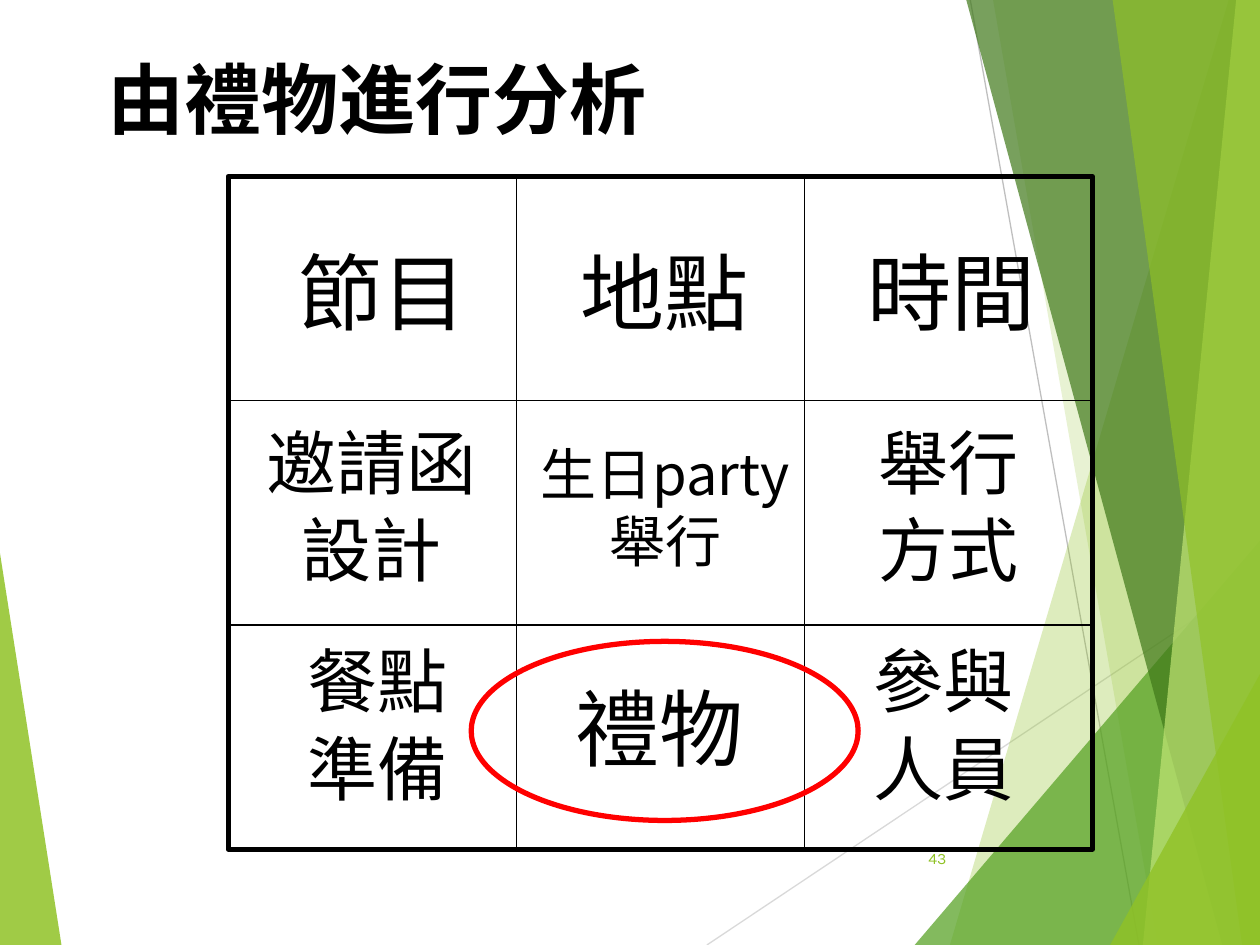
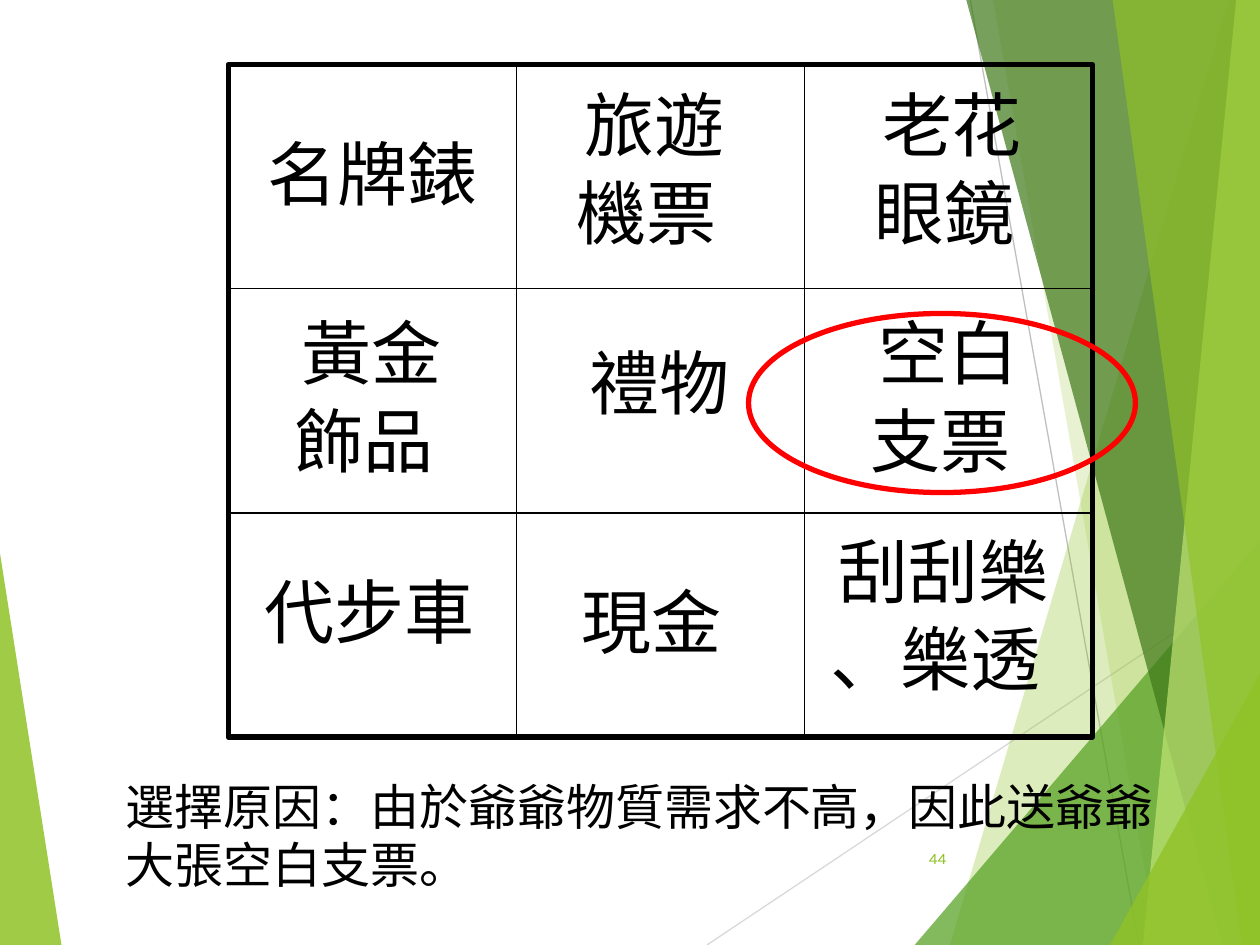
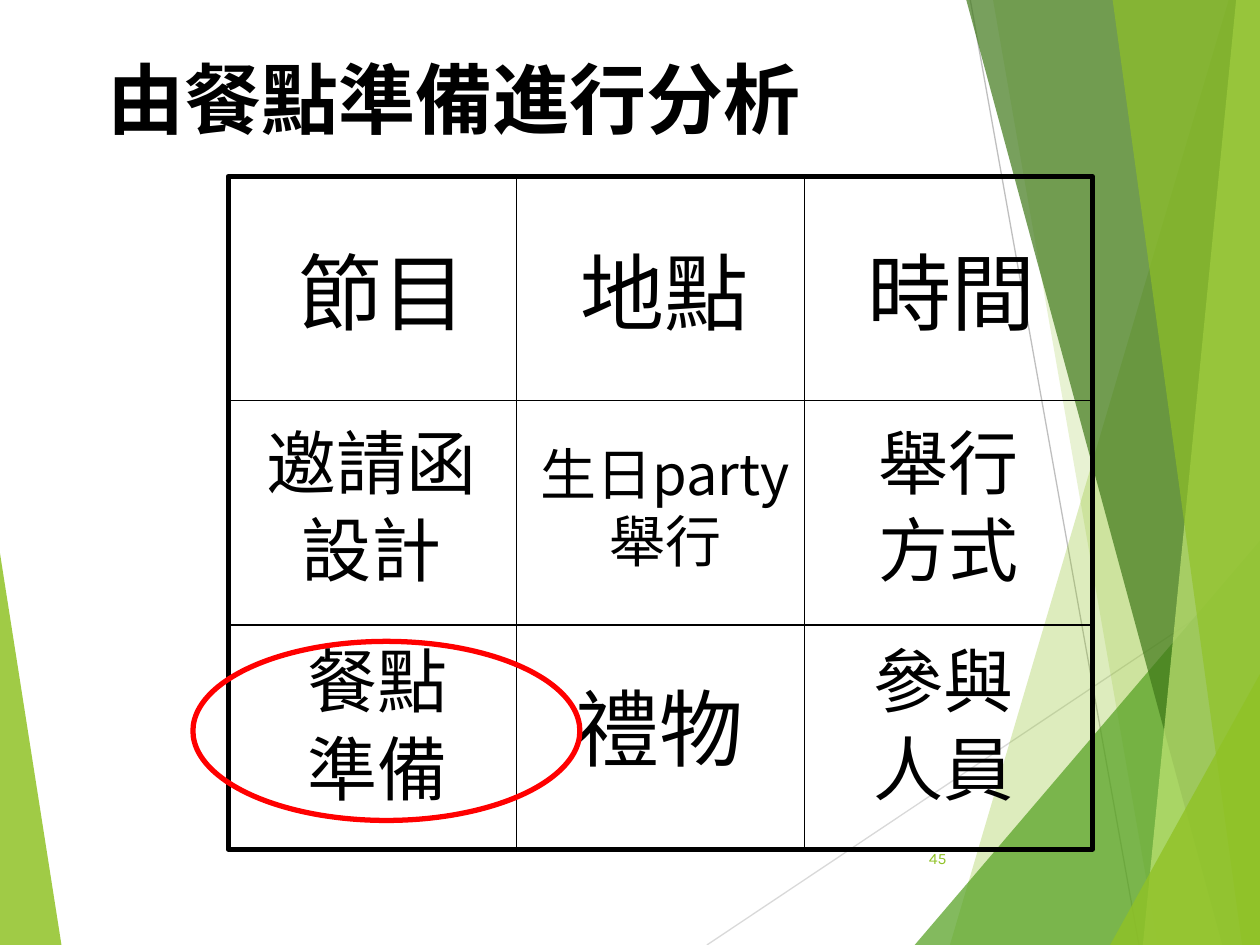
from lxml import etree
from pptx import Presentation
from pptx.dml.color import RGBColor
from pptx.enum import shapes, text
from pptx.oxml import ns
from pptx.util import Cm, Pt

BLACK = RGBColor(0x00, 0x00, 0x00)
RED = RGBColor(0xFF, 0x00, 0x00)
LIME = RGBColor(0x90, 0xC2, 0x26)
PALE_LIME = RGBColor(0xC0, 0xE4, 0x74)
GREEN = RGBColor(0x54, 0xA0, 0x21)
DARK_GREEN = RGBColor(0x3F, 0x78, 0x19)
GREY = RGBColor(0xBF, 0xBF, 0xBF)
LIGHT_GREY = RGBColor(0xD9, 0xD9, 0xD9)

CJK = "Noto Sans CJK SC"
W, H = 25.4, 19.05
BOARD_LEFT, BOARD_W, BOARD_H = 4.6, 17.42, 13.56
FIRST_PAGE = 43

# Facets, back to front: outline in cm, colour, opacity in percent
LEFT_FACET = ([(0, 11.15), (1.24, H), (0, H)], LIME, 85)
RIGHT_FACETS = [
    ([(24.77, 0), (19.15, H), (W, H), (W, 0)], LIME, 30),
    ([(20.02, 0), (23.34, H), (W, H), (W, 0)], LIME, 20),
    ([(18.44, H), (W, 10.9), (W, H)], GREEN, 72),
    ([(19.48, 0), (24.64, H), (W, H), (W, 0)], DARK_GREEN, 70),
    ([(24.92, 0), (23.04, H), (W, H), (W, 0)], PALE_LIME, 70),
    ([(22.43, 0), (25.04, H), (W, H), (W, 0)], LIME, 65),
    ([(22.38, H), (W, 13.59), (W, H)], LIME, 80),
]

# Cells: lines, left, top, width, height, size
PARTY_CELLS = [
    (["節目"], 5.31, 4.72, 4.8, 2.29, 48),
    (["地點"], 10.9, 4.72, 5, 2.29, 48),
    (["時間"], 16.69, 4.72, 5, 2.29, 48),
    (["邀請函", "設計"], 4.7, 8.33, 5.59, 3.73, 40),
    (["生日party舉行"], 10.31, 8.74, 6.2, 2.97, 32),
    (["舉行", "方式"], 16.31, 8.33, 5.61, 3.73, 40),
    (["餐點", "準備"], 4.9, 12.73, 5.41, 3.73, 40),
    (["禮物"], 10.69, 13.51, 5.21, 2.29, 48),
    (["參與", "人員"], 16.31, 12.73, 5.41, 3.73, 40),
]
GIFT_CELLS = [
    (["名牌錶 "], 5.11, 2.51, 4.8, 1.96, 40),
    (["旅遊", "機票 "], 10.69, 1.52, 5, 3.73, 40),
    (["老花", "眼鏡 "], 16.69, 1.52, 5, 3.73, 40),
    (["黃金", "飾品 "], 4.7, 6.12, 5.59, 3.73, 40),
    (["禮物"], 10.69, 6.73, 5.21, 1.96, 40),
    (["空白", "支票 "], 16.31, 6.12, 5.61, 3.73, 40),
    (["代步車 "], 4.9, 11.33, 5.41, 1.96, 40),
    (["現金 "], 10.49, 11.53, 5.59, 1.96, 40),
    (["刮刮樂", "、樂透 "], 16.31, 10.52, 5.41, 3.73, 40),
]
REASON = "選擇原因：由於爺爺物質需求不高，因此送爺爺大張空白支票。"

# Slides: title, title width, board top, cells, left and top of the red ring
PAGES = [
    ("由禮物進行分析", 14, 3.56, PARTY_CELLS, 9.5, 12.93),
    (None, 0, 1.3, GIFT_CELLS, 15.09, 6.32),
    ("由餐點準備進行分析", 15.6, 3.56, PARTY_CELLS, 3.89, 12.93),
]


def add_line(s, x1, y1, x2, y2, color):
    line = s.shapes.add_connector(shapes.MSO_CONNECTOR.STRAIGHT,
                                  Cm(x1), Cm(y1), Cm(x2), Cm(y2))
    line.line.color.rgb = color
    line.line.width = Pt(0.75)
    etree.SubElement(line.element.spPr, ns.qn("a:effectLst"))
    return line


def add_text(s, lines, left, top, width, height, size, align, color=BLACK, font=CJK):
    box = s.shapes.add_textbox(Cm(left), Cm(top), Cm(width), Cm(height))
    tf = box.text_frame
    tf.word_wrap = True
    tf.text = "\n".join(lines)
    for i, p in enumerate(tf.paragraphs):
        p.alignment = align
        p.line_spacing = Pt(round(size * 1.2, 1))
        if i:
            p.space_before = Pt(2)
        p.font.name, p.font.size, p.font.color.rgb = font, Pt(size), color
    return tf


prs = Presentation()
prs.slide_width, prs.slide_height = Cm(W), Cm(H)
TITLE_ONLY, BLANK = prs.slide_layouts[5], prs.slide_layouts[6]
slides = [prs.slides.add_slide(TITLE_ONLY if page[0] else BLANK) for page in PAGES]

# Backdrop: drawn on the first slide, then moved to the master
s = slides[0]
backdrop = []
for outline, color, opacity in [LEFT_FACET] + RIGHT_FACETS:
    points = [(Cm(x), Cm(y)) for x, y in outline]
    builder = s.shapes.build_freeform(*points[0])
    builder.add_line_segments(points[1:], close=True)
    facet = builder.convert_to_shape()
    facet.shadow.inherit = False
    facet.fill.solid()
    facet.fill.fore_color.rgb = color
    facet.line.fill.background()
    tint = facet.element.spPr.find(".//" + ns.qn("a:srgbClr"))
    etree.SubElement(tint, ns.qn("a:alpha")).set("val", str(opacity * 1000))
    backdrop.append(facet)
backdrop[1:1] = [add_line(s, 14.25, H, W, 11.6, LIGHT_GREY),
                 add_line(s, 19.56, 0, 22.96, H, GREY)]
for i, part in enumerate(backdrop):
    part.element.xpath(".//p:cNvPr")[0].set("id", str(100 + i))
    prs.slide_master.shapes.element.append(part.element)

for number, (s, page) in enumerate(zip(slides, PAGES), FIRST_PAGE):
    title, title_w, board_top, cells, ring_left, ring_top = page

    tf = add_text(s, [str(number)], 17.91, 16.79, 1.42, 1.02, 9,
                  text.PP_ALIGN.RIGHT, LIME, "Karla")
    tf.vertical_anchor = text.MSO_ANCHOR.MIDDLE

    board = s.shapes.add_shape(shapes.MSO_SHAPE.RECTANGLE, Cm(BOARD_LEFT), Cm(board_top),
                               Cm(BOARD_W), Cm(BOARD_H))
    for i in (1, 2):
        y = board_top + BOARD_H * i / 3
        add_line(s, BOARD_LEFT, y, BOARD_LEFT + BOARD_W, y, BLACK)
    for i in (1, 2):
        x = BOARD_LEFT + BOARD_W * i / 3
        add_line(s, x, board_top, x, board_top + BOARD_H, BLACK)

    for cell in cells:
        tf = add_text(s, *cell, text.PP_ALIGN.CENTER)
        tf.auto_size = text.MSO_AUTO_SIZE.SHAPE_TO_FIT_TEXT

    ring = s.shapes.add_shape(shapes.MSO_SHAPE.OVAL, Cm(ring_left), Cm(ring_top),
                              Cm(7.8), Cm(3.61))
    for outline, color in ((board, BLACK), (ring, RED)):
        outline.shadow.inherit = False
        outline.fill.background()
        outline.line.color.rgb = color
        outline.line.width = Pt(3)

    if title:
        sp = s.shapes.title
        sp.left, sp.top, sp.width, sp.height = Cm(1.91), Cm(0.91), Cm(title_w), Cm(2.11)
        tf = sp.text_frame
        tf.text = title
        tf.vertical_anchor = text.MSO_ANCHOR.TOP
        tf.auto_size = text.MSO_AUTO_SIZE.NONE
        p = tf.paragraphs[0]
        p.alignment = text.PP_ALIGN.LEFT
        p.font.name, p.font.size, p.font.bold = "Arial", Pt(44), True
        p.font.color.rgb = BLACK
    else:
        tf = add_text(s, [REASON], 2.29, 15.52, 21.62, 2.62, 28, text.PP_ALIGN.LEFT)
        tf.auto_size = text.MSO_AUTO_SIZE.SHAPE_TO_FIT_TEXT

prs.save("out.pptx")
